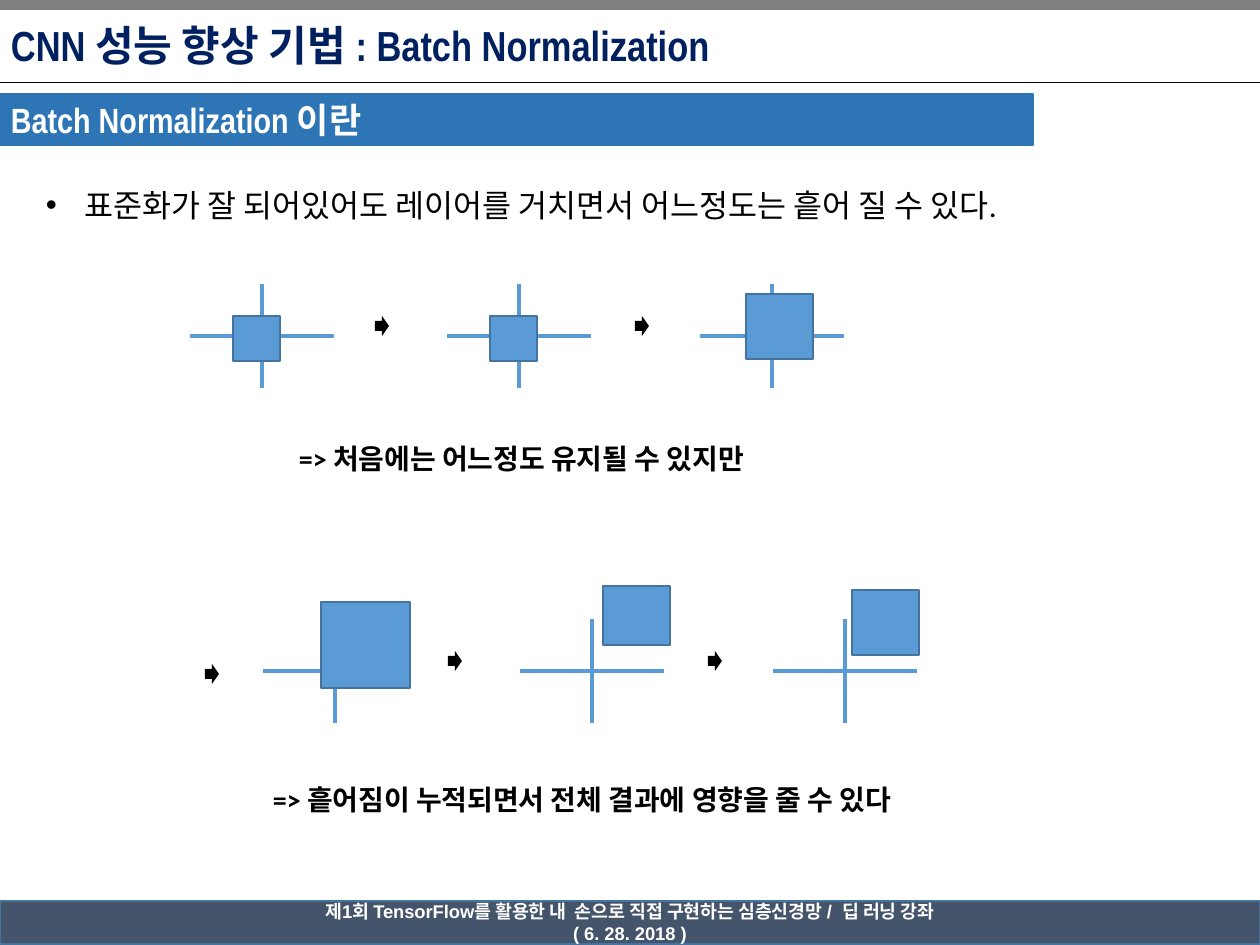
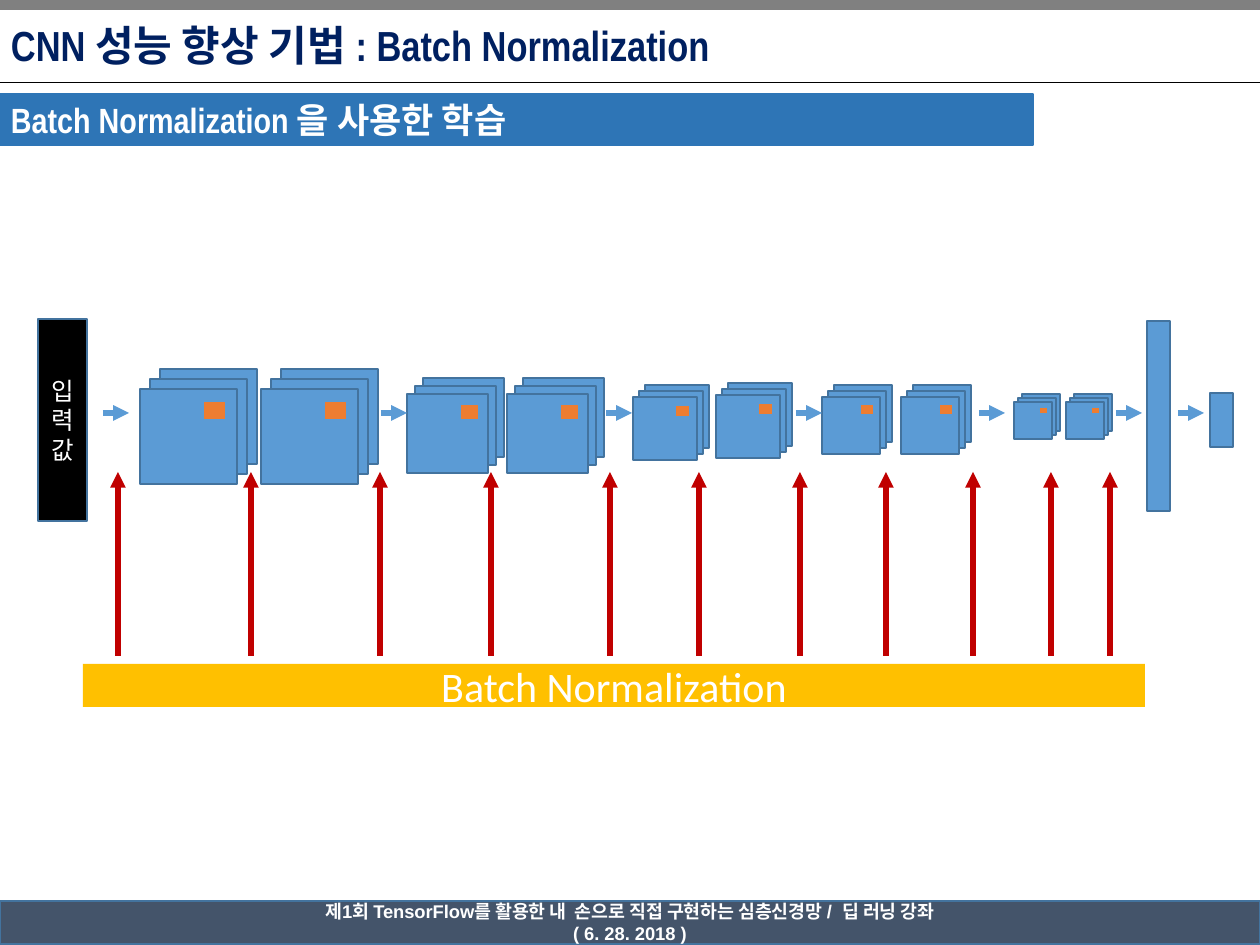
from lxml.etree import SubElement
from pptx import Presentation
from pptx.dml.color import RGBColor
from pptx.enum.shapes import MSO_CONNECTOR as CONN, MSO_SHAPE as SHAPE
from pptx.enum.text import MSO_ANCHOR as ANCHOR, PP_ALIGN as ALIGN
from pptx.oxml.ns import qn
from pptx.util import Pt

EMU_PER_PX = 914400 / 126
COLORS = {
    "white": "FFFFFF", "black": "000000", "gray": "808080", "navy": "002060",
    "slate": "44546A", "band": "2E75B6", "blue": "5B9BD5", "edge": "43739E",
    "orange": "ED7D31", "red": "C00000", "gold": "FFC000",
}
TITLE = "CNN 성능 향상 기법 : Batch Normalization"
FOOTER = [
    "제1회 TensorFlow를 활용한 내  손으로 직접 구현하는 심층신경망 /  딥 러닝 강좌",
    "( 6. 28. 2018 )",
]


def px(n):
    """Turn pixels into EMU."""
    return round(n * EMU_PER_PX)


def rgb(name):
    """Look up a named colour."""
    return RGBColor.from_string(COLORS[name])


class Deck:
    """Holds the style and the current slide."""

    def __init__(self):
        """Start a presentation of 1260 by 945 pixels."""
        self.prs = Presentation()
        self.prs.slide_width, self.prs.slide_height = px(1260), px(945)
        self.s = None

    def slide(self, heading):
        """Add a slide with the shared frame and a section heading."""
        self.s = self.prs.slides.add_slide(self.prs.slide_layouts[6])
        self.rect(0, 0, 1260, 9, "gray", "gray")
        self.line(0, 82, 1260, 82, "black", 0.5)
        footer = self.rect(0, 901, 1260, 43, "slate", "edge")
        self.label(footer, FOOTER, 10.5, font="Arial", bold=True)
        self.text(0, 4, 984, 82, TITLE, 24, color="navy", bold=True,
                  font="Arial Narrow", anchor=ANCHOR.MIDDLE, inset=(11, 5))
        band = self.rect(0, 94, 1033, 51, "band", "band")
        self.label(band, [heading], 20, font="Arial Narrow", bold=True,
                   align=ALIGN.LEFT, inset=(11, 5))

    def rect(self, x, y, w, h, fill, edge=None, kind=SHAPE.RECTANGLE):
        """Add a filled preset shape, outlined if an edge colour is given."""
        sp = self.s.shapes.add_shape(kind, px(x), px(y), px(w), px(h))
        sp.shadow.inherit = False
        sp.fill.solid()
        sp.fill.fore_color.rgb = rgb(fill)
        if edge:
            sp.line.color.rgb = rgb(edge)
            sp.line.width = Pt(1)
        else:
            sp.line.fill.background()
        return sp

    def line(self, x1, y1, x2, y2, color, width, arrow=False):
        """Add a straight line, with an arrowhead at its end if wanted."""
        c = self.s.shapes.add_connector(CONN.STRAIGHT, px(x1), px(y1), px(x2), px(y2))
        c.line.color.rgb = rgb(color)
        c.line.width = Pt(width)
        spPr = c._element.spPr
        if arrow:
            SubElement(spPr.get_or_add_ln(), qn("a:tailEnd"), type="triangle")
        SubElement(spPr, qn("a:effectLst"))

    def text(self, x, y, w, h, words, size, **style):
        """Add a text box with one left-aligned paragraph."""
        sp = self.s.shapes.add_textbox(px(x), px(y), px(w), px(h))
        style = {"color": "black", "align": ALIGN.LEFT, "anchor": ANCHOR.TOP, **style}
        self.label(sp, [words], size, **style)

    def label(self, sp, lines, size, color="white", font="Calibri", bold=False,
              align=ALIGN.CENTER, anchor=ANCHOR.MIDDLE, inset=(13, 6), bullet=False):
        """Put paragraphs into a shape."""
        tf = sp.text_frame
        tf.word_wrap = True
        tf.vertical_anchor = anchor
        tf.margin_left = tf.margin_right = px(inset[0])
        tf.margin_top = tf.margin_bottom = px(inset[1])
        for i, words in enumerate(lines):
            p = tf.add_paragraph() if i else tf.paragraphs[0]
            p.alignment = align
            if bullet:
                pPr = p._p.get_or_add_pPr()
                pPr.set("marL", str(px(39)))
                pPr.set("indent", str(-px(39)))
                SubElement(pPr, qn("a:buFont"), typeface="Arial")
                SubElement(pPr, qn("a:buChar"), char="•")
            r = p.add_run()
            r.text = words
            r.font.name, r.font.size, r.font.bold = font, Pt(size), bold
            r.font.color.rgb = rgb(color)

    def step(self, x, y):
        """Add a small black block arrow."""
        self.rect(x, y, 14, 20, "black", kind=SHAPE.RIGHT_ARROW)

    def scatter(self, cx, cy, dx, dy, w, h):
        """Add axes centred on a point and a data square offset from it."""
        self.line(cx, cy - 52, cx, cy + 52, "blue", 2.25)
        self.line(cx - 72, cy, cx + 72, cy, "blue", 2.25)
        self.rect(cx + dx, cy + dy, w, h, "blue", "edge")

    def feature_maps(self, x, y, w):
        """Add three stacked maps, front one at x and y, with a filter."""
        h, shift = round(w * 0.98), round(w / 10)
        for i in (2, 1, 0):
            self.rect(x + i * shift, y - i * shift, w, h, "blue", "edge")
        self.rect(x + round(w * 0.65), y + round(w * 0.125),
                  round(w * 0.235), round(w * 0.195), "orange", "blue")


def build_drift(d):
    """Show how the data drifts from layer to layer."""
    d.slide("Batch Normalization 이란")
    d.text(33, 180, 1061, 50,
           "표준화가 잘 되어있어도 레이어를 거치면서 어느정도는 흩어 질 수 있다.",
           18, bullet=True)
    rows = [
        (262, 336, [(-29, -20, 47, 45), (-29, -20, 47, 45), (-26, -42, 67, 65)]),
        (335, 671, [(-14, -69, 89, 86), (11, -85, 67, 59), (7, -81, 67, 65)]),
    ]
    for left, cy, squares in rows:
        for dx, square in zip((0, 257, 510), squares):
            d.scatter(left + dx, cy, *square)
        for dx in (113, 373):
            d.step(left + dx, cy - 20)
    d.step(205, 664)
    d.text(286, 436, 510, 47, "=> 처음에는 어느정도 유지될 수 있지만", 16, bold=True)
    d.text(260, 777, 724, 47, "=> 흩어짐이 누적되면서 전체 결과에 영향을 줄 수 있다",
           16, bold=True)


def build_network(d):
    """Show normalization feeding every layer of the network."""
    d.slide("Batch Normalization 을 사용한 학습")
    for x in (118, 251, 380, 491, 610, 699, 800, 886, 973, 1051, 1110):
        d.line(x, 656, x, 472, "red", 3, arrow=True)
    d.label(d.rect(83, 664, 1062, 43, "gold"), ["Batch Normalization"], 24)
    maps = [
        (140, 389, 97), (261, 389, 97), (407, 394, 81), (507, 394, 81),
        (633, 397, 64), (716, 395, 64), (822, 397, 58), (901, 397, 58),
        (1014, 402, 38), (1066, 402, 38),
    ]
    for x, y, w in maps:
        d.feature_maps(x, y, w)
    d.rect(1147, 321, 23, 190, "blue", "edge")
    d.rect(1210, 393, 23, 54, "blue", "edge")
    for x in (103, 381, 606, 796, 979, 1116, 1178):
        d.line(x, 413, x + 26, 413, "blue", 3, arrow=True)
    d.label(d.rect(38, 319, 49, 202, "black", "edge"), ["입력값"], 14)


def main():
    """Build both slides and save them."""
    d = Deck()
    build_drift(d)
    build_network(d)
    d.prs.save("out.pptx")


if __name__ == "__main__":
    main()
